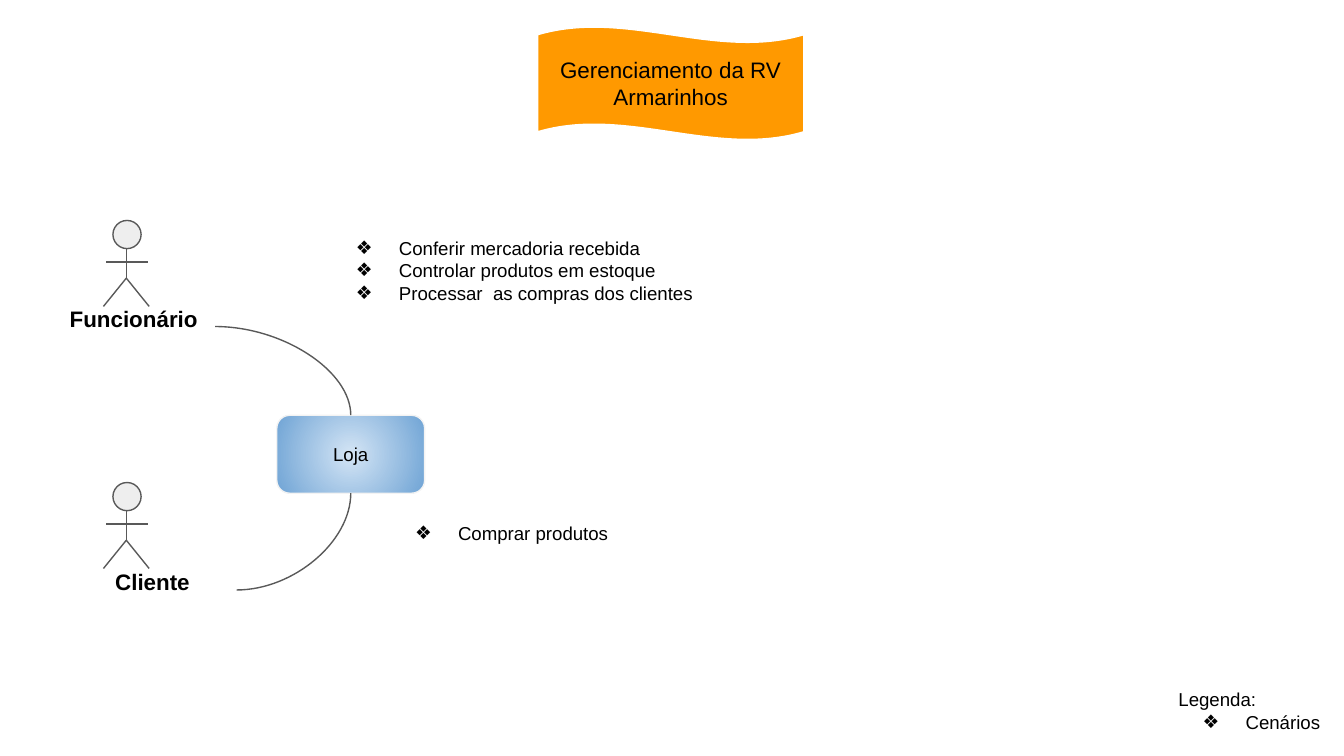
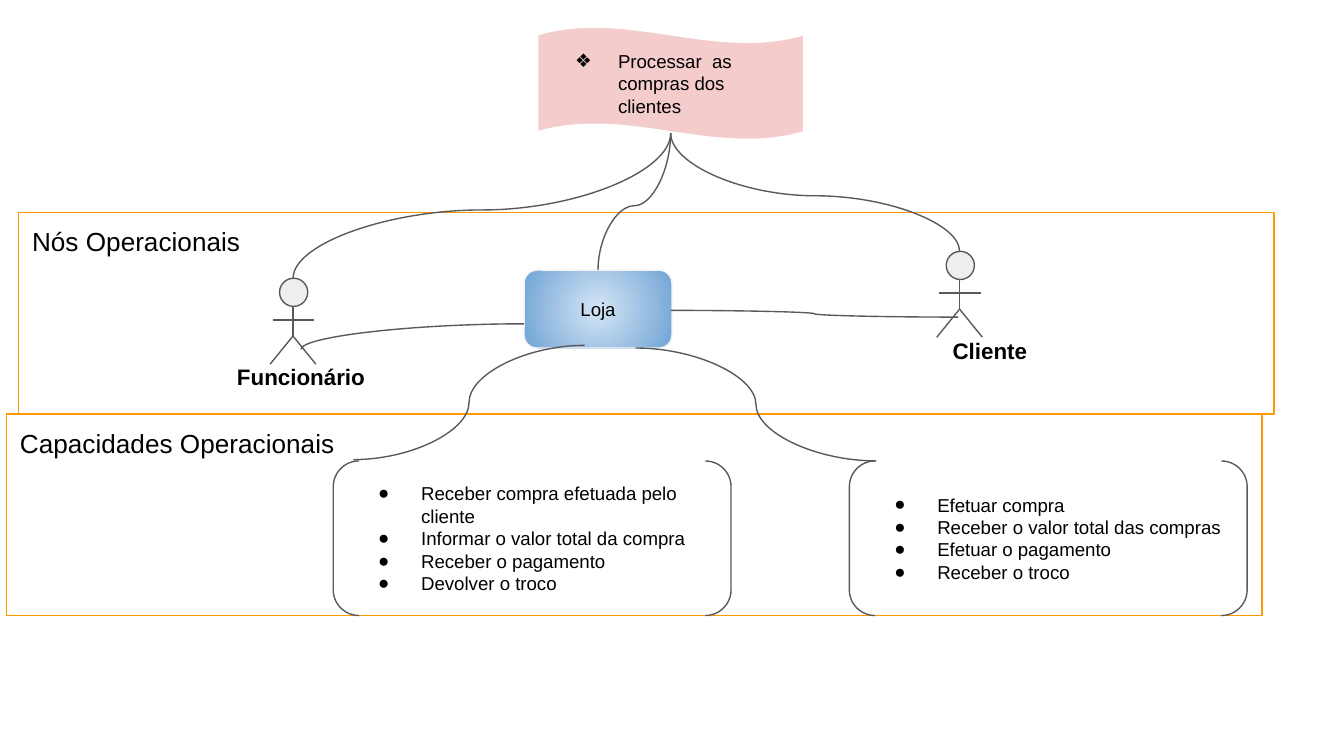
"""Build two operational diagrams of a haberdashery shop: scenarios, then nodes and capabilities."""
import pptx
import pptx.dml.color
import pptx.enum.shapes
import pptx.enum.text
import pptx.oxml
import pptx.oxml.ns
import pptx.util
from lxml import etree

Inches = pptx.util.Inches
RGBColor = pptx.dml.color.RGBColor
SHAPE = pptx.enum.shapes.MSO_SHAPE
CONNECTOR = pptx.enum.shapes.MSO_CONNECTOR
ANCHOR = pptx.enum.text.MSO_ANCHOR
ALIGN = pptx.enum.text.PP_ALIGN
qn = pptx.oxml.ns.qn

BLACK = RGBColor(0x00, 0x00, 0x00)
WHITE = RGBColor(0xFF, 0xFF, 0xFF)
ORANGE = RGBColor(0xFF, 0x99, 0x00)
PINK = RGBColor(0xF4, 0xCC, 0xCC)
GREY = RGBColor(0x59, 0x59, 0x59)
HEAD_GREY = RGBColor(0xEE, 0xEE, 0xEE)
EDGE_GREY = RGBColor(0xF3, 0xF3, 0xF3)
STORE_LIGHT = RGBColor(0xD4, 0xE5, 0xF5)
STORE_DARK = RGBColor(0x70, 0xA4, 0xD5)
FONT = "Arial"
LINE_WIDTH = pptx.util.Pt(0.75)
SCENARIO = "❖"
CAPABILITY = "●"


def write(shape, lines, size=10, bold=False, align=ALIGN.LEFT, anchor=ANCHOR.TOP, bullet=None, plain=0):
    """Fill a shape with paragraphs; the first `plain` ones carry no bullet."""
    frame = shape.text_frame
    frame.word_wrap = True
    frame.vertical_anchor = anchor
    frame.margin_left = frame.margin_right = frame.margin_top = frame.margin_bottom = Inches(0.1)
    for index, line in enumerate(lines):
        paragraph = frame.paragraphs[0] if index == 0 else frame.add_paragraph()
        paragraph.alignment = align
        run = paragraph.add_run()
        run.text = line
        run.font.name = FONT
        run.font.size = pptx.util.Pt(size)
        run.font.bold = bold
        run.font.color.rgb = BLACK
        if bullet and index >= plain:
            properties = paragraph._p.get_or_add_pPr()
            properties.set("marL", str(Inches(0.5)))
            properties.set("indent", str(Inches(-0.32)))
            bullet_colour = etree.SubElement(properties, qn("a:buClr"))
            etree.SubElement(bullet_colour, qn("a:srgbClr"), val=str(BLACK))
            etree.SubElement(properties, qn("a:buFont"), typeface=FONT)
            etree.SubElement(properties, qn("a:buChar"), char=bullet)


def link(shapes, start, end, preset="line", vertical=False, bend=None):
    """Join two points; a vertical curve leaves its start upwards or downwards."""
    (x1, y1), (x2, y2) = start, end
    if vertical:
        mid_x, mid_y = (x1 + x2) / 2, (y1 + y2) / 2
        across, down = (y2 - y1) / 2, (x1 - x2) / 2
        x1, y1, x2, y2 = mid_x - across, mid_y - down, mid_x + across, mid_y + down
    kind = CONNECTOR.STRAIGHT if preset == "line" else CONNECTOR.CURVE
    joint = shapes.add_connector(kind, Inches(x1), Inches(y1), Inches(x2), Inches(y2))
    joint.line.color.rgb = GREY
    joint.line.width = LINE_WIDTH
    properties = joint._element.spPr
    etree.SubElement(properties, qn("a:effectLst"))
    geometry = properties.find(qn("a:prstGeom"))
    geometry.set("prst", preset)
    if vertical:
        properties.find(qn("a:xfrm")).set("rot", "5400000")
    if bend:
        guides = geometry.find(qn("a:avLst"))
        etree.SubElement(guides, qn("a:gd"), name="adj1", fmla=f"val {round(bend * 100000)}")


deck = pptx.Presentation()
deck.slide_width = Inches(10)
deck.slide_height = Inches(10) * 9 // 16
scenarios, nodes = [deck.slides.add_slide(deck.slide_layouts[6]).shapes for _ in range(2)]

centred = {"align": ALIGN.CENTER, "anchor": ANCHOR.MIDDLE}
scenario_list = {"bullet": SCENARIO}
shop_title = {"size": 12, **centred}
scenario_title = {"anchor": ANCHOR.MIDDLE, **scenario_list}
capability_list = {"anchor": ANCHOR.MIDDLE, "bullet": CAPABILITY}
employee_tasks = [
    "Receber compra efetuada pelo cliente",
    "Informar o valor total da compra",
    "Receber o pagamento",
    "Devolver o troco",
]
customer_tasks = [
    "Efetuar compra",
    "Receber o valor total das compras",
    "Efetuar o pagamento",
    "Receber o troco",
]

panels = [
    (nodes, SHAPE.RECTANGLE, (0.14, 1.58, 9.34, 1.5), None, ORANGE, ["Nós Operacionais"], {"size": 14}),
    (nodes, SHAPE.RECTANGLE, (0.05, 3.08, 9.34, 1.5), None, ORANGE, ["Capacidades Operacionais"], {"size": 14}),
    (scenarios, SHAPE.WAVE, (4, 0.2, 1.98, 0.84), ORANGE, WHITE, ["Gerenciamento da RV Armarinhos"], shop_title),
    (nodes, SHAPE.WAVE, (4, 0.2, 1.98, 0.84), PINK, WHITE, ["Processar  as compras dos clientes"], scenario_title),
    (nodes, SHAPE.DOUBLE_BRACKET, (2.48, 3.43, 2.96, 1.15), None, GREY, employee_tasks, capability_list),
    (nodes, SHAPE.DOUBLE_BRACKET, (6.32, 3.43, 2.96, 1.15), None, GREY, customer_tasks, capability_list),
]
for shapes, outline, box, fill, edge, lines, style in panels:
    panel = shapes.add_shape(outline, *map(Inches, box))
    panel.shadow.inherit = False
    if fill is None:
        panel.fill.background()
    else:
        panel.fill.solid()
        panel.fill.fore_color.rgb = fill
    panel.line.color.rgb = edge
    panel.line.width = LINE_WIDTH
    if outline == SHAPE.WAVE:
        panel.adjustments[0] = 0.07
    write(panel, lines, **style)

actors = [
    (scenarios, "Cliente", (0.84, 3.59), (0.5, 4.13, 1.27, 0.52)),
    (scenarios, "Funcionário", (0.84, 1.64), (0.39, 2.17, 1.21, 0.52)),
    (nodes, "Funcionário", (2.08, 2.07), (1.62, 2.6, 1.24, 0.38)),
    (nodes, "Cliente", (7.04, 1.87), (6.69, 2.41, 1.35, 0.38)),
]
limbs = [
    ((0.1, 0.21), (0.1, 0.43)),
    ((-0.05, 0.31), (0.26, 0.31)),
    ((0.1, 0.43), (-0.07, 0.64)),
    ((0.27, 0.64), (0.1, 0.43)),
]
for shapes, role, (left, top), label_box in actors:
    figure = shapes.add_group_shape().shapes
    head = figure.add_shape(SHAPE.FLOWCHART_CONNECTOR, *map(Inches, (left, top, 0.21, 0.21)))
    head.shadow.inherit = False
    head.fill.solid()
    head.fill.fore_color.rgb = HEAD_GREY
    head.line.color.rgb = GREY
    head.line.width = LINE_WIDTH
    for (x1, y1), (x2, y2) in limbs:
        link(figure, (left + x1, top + y1), (left + x2, top + y2))
    label = figure.add_textbox(*map(Inches, label_box))
    write(label, [role], size=12, bold=True, align=ALIGN.CENTER)

for shapes, left, top in [(scenarios, 2.06, 3.09), (nodes, 3.9, 2.01)]:
    store = shapes.add_shape(SHAPE.ROUNDED_RECTANGLE, *map(Inches, (left, top, 1.1, 0.58)))
    store.shadow.inherit = False
    store.fill.gradient()
    for stop, colour in zip(store.fill.gradient_stops, (STORE_LIGHT, STORE_DARK)):
        stop.color.rgb = colour
    gradient = store._element.spPr.find(qn("a:gradFill"))
    gradient.remove(gradient.find(qn("a:lin")))
    radial = etree.SubElement(gradient, qn("a:path"), path="circle")
    etree.SubElement(radial, qn("a:fillToRect"), l="50000", t="50000", r="50000", b="50000")
    store.line.color.rgb = EDGE_GREY
    store.line.width = LINE_WIDTH
    write(store, ["Loja"], **centred)

employee_scenarios = [
    "Conferir mercadoria recebida",
    "Controlar produtos em estoque",
    "Processar  as compras dos clientes",
]
notes = [
    ((2.37, 1.66, 3.32, 1.01), employee_scenarios, 0),
    ((8.67, 5.02, 1.27, 0.52), ["Legenda:", "Cenários"], 1),
    ((2.81, 3.8, 3.32, 1.01), ["Comprar produtos"], 0),
]
for box, lines, plain in notes:
    write(scenarios.add_textbox(*map(Inches, box)), lines, plain=plain, **scenario_list)

title_foot = (4.99, 0.99)
quarter, wave = "curvedConnector2", "curvedConnector3"
curves = [
    (scenarios, (1.6, 2.43), (2.61, 3.09), quarter, False, None),
    (scenarios, (1.76, 4.39), (2.61, 3.67), quarter, False, None),
    (nodes, (4.45, 2.01), title_foot, wave, True, 0.47),
    (nodes, (2.18, 2.07), title_foot, wave, True, 0.47),
    (nodes, (7.14, 1.87), title_foot, wave, True, 0.47),
    (nodes, (2.24, 2.6), (3.9, 2.41), quarter, True, None),
    (nodes, (7.13, 2.36), (4.99, 2.31), wave, False, 0.5),
    (nodes, (2.63, 3.42), (4.35, 2.57), wave, False, 0.5),
    (nodes, (6.52, 3.43), (4.73, 2.59), wave, False, 0.5),
]
for curve in curves:
    link(*curve)

deck.save("out.pptx")
